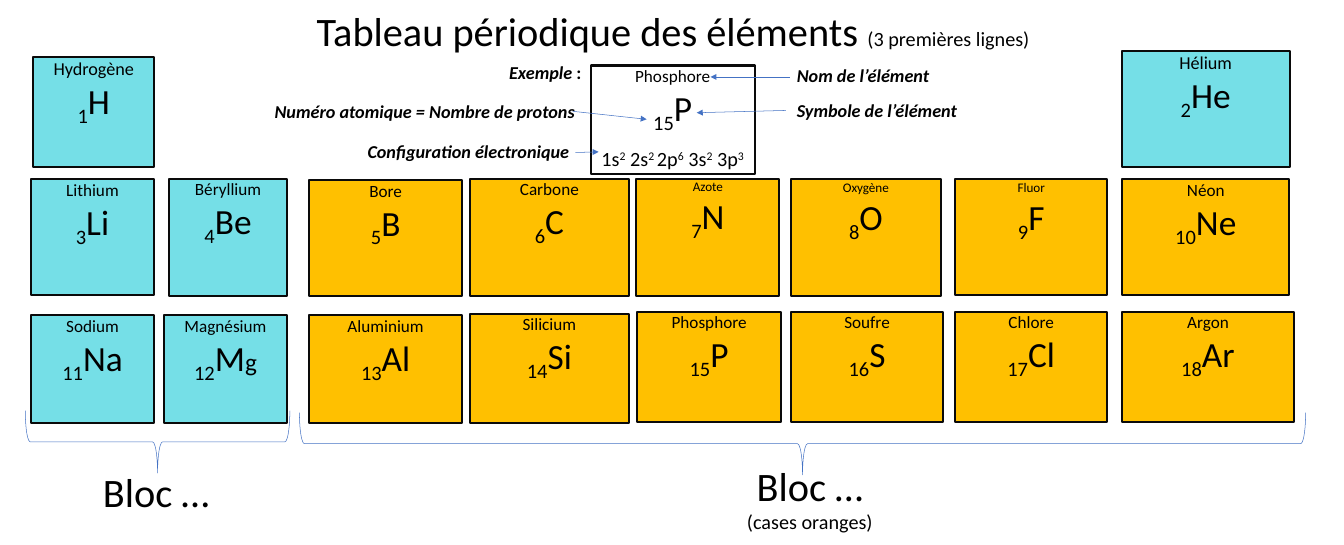
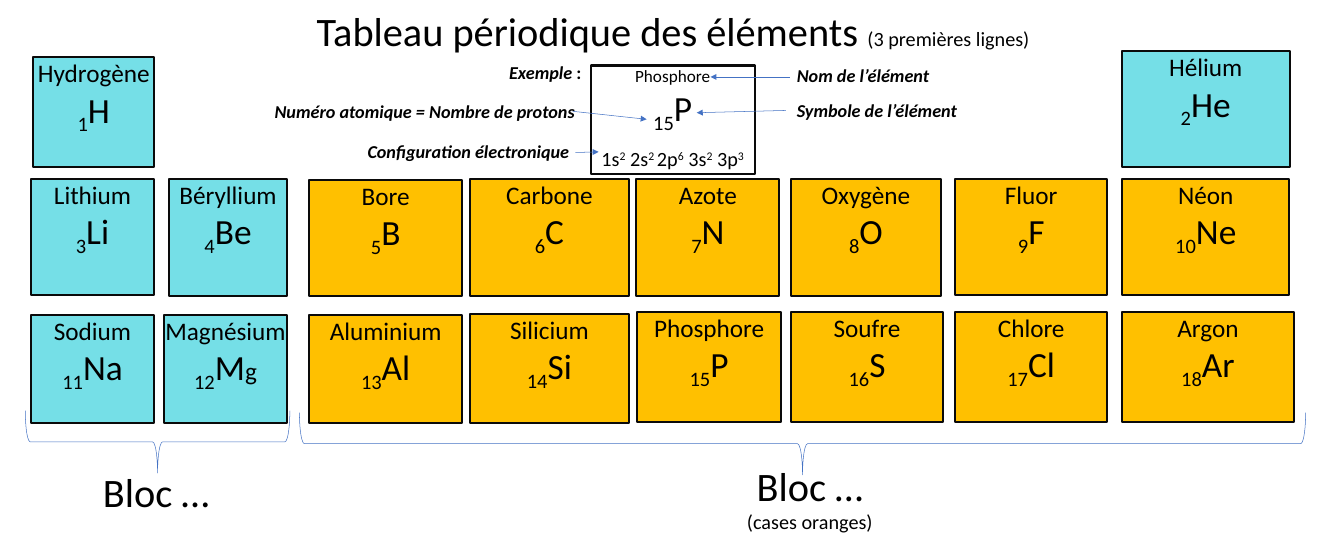
from lxml.etree import SubElement
from pptx import Presentation
from pptx.dml.color import RGBColor
from pptx.enum.shapes import MSO_CONNECTOR, MSO_SHAPE
from pptx.enum.text import MSO_ANCHOR, PP_ALIGN
from pptx.oxml.ns import qn
from pptx.util import Cm, Pt

COLORS = {
    "blue": "75DFE7",
    "orange": "FFC000",
    "border": "0A0A0A",
    "accent": "4472C4",
    "text": "000000",
}
FONT = "Calibri"
TITLE_SIZE, NOTE_SIZE, SYMBOL_SIZE, LABEL_SIZE = 40, 20, 35, 18

ELEMENTS = [
    ("Hydrogène", "H", 18, "blue", 1.17, 2.01, 4.22, 3.84),
    ("Hélium", "He", 18, "blue", 39.22, 1.8, 5.87, 4.04),
    ("Lithium", "Li", 17, "blue", 1.09, 6.27, 4.29, 4.06),
    ("Béryllium", "Be", 17, "blue", 5.92, 6.25, 4.11, 4.09),
    ("Bore", "B", 17, "orange", 10.82, 6.3, 5.33, 4.06),
    ("Carbone", "C", 17, "orange", 16.43, 6.25, 5.56, 4.09),
    ("Azote", "N", 13, "orange", 22.25, 6.25, 5, 4.09),
    ("Oxygène", "O", 13, "orange", 27.66, 6.27, 5.23, 4.09),
    ("Fluor", "F", 13, "orange", 33.4, 6.27, 5.31, 4.06),
    ("Néon", "Ne", 17, "orange", 39.24, 6.27, 5.84, 4.04),
    ("Sodium", "Na", 17, "blue", 1.09, 11.02, 4.29, 3.76),
    ("Magnésium", "Mg", 17, "blue", 5.74, 11.02, 4.29, 3.76),
    ("Aluminium", "Al", 17, "orange", 10.82, 11.02, 5.33, 3.76),
    ("Silicium", "Si", 17, "orange", 16.43, 10.97, 5.56, 3.81),
    ("Phosphore", "P", 17, "orange", 22.28, 10.9, 5.03, 3.86),
    ("Soufre", "S", 17, "orange", 27.66, 10.9, 5.31, 3.86),
    ("Chlore", "Cl", 17, "orange", 33.4, 10.9, 5.31, 3.86),
    ("Argon", "Ar", 17, "orange", 39.24, 10.9, 5.99, 3.86),
]
CONFIGURATION = [("1s", "2"), (" 2s", "2 "), ("2p", "6"), (" 3s", "2"), (" 3p", "3")]
LABELS = [
    ("Nom de l’élément", "", 27.61, 2.11, 6.48),
    ("Numéro atomique = Nombre de protons", "", 9.35, 3.38, 11.05),
    ("Symbole de l’élément", "", 27.61, 3.35, 6.48),
    ("Exemple", " :", 17.55, 2.01, 4.34),
    ("Configuration électronique", "", 12.6, 4.78, 7.72),
]
ARROWS = [
    (27.61, 2.69, 24.84, 2.69),
    (20.02, 3.89, 22.61, 4.17),
    (27.48, 3.86, 24.36, 3.94),
    (20.12, 5.33, 20.93, 5.31),
]
BRACES = [(4.42, 10.82, 9.25, (0.08, 0.5)), (26.97, -2.08, 35.18, (0.08, 0.5))]
BLOCKS = [
    ([("Bloc …", TITLE_SIZE)], 0.89, 16.21, 9.14, 1.96),
    ([("Bloc …", TITLE_SIZE), ("(cases oranges)", NOTE_SIZE)], 24.77, 16, 7.09, 2.82),
]


def add_span(para, text, size, baseline=0, bold=False, italic=False):
    span = para.add_run()
    span.text = text
    span.font.name = FONT
    span.font.size = Pt(size)
    span.font.bold = bold
    span.font.italic = italic
    span.font.color.rgb = RGBColor.from_string(COLORS["text"])
    if baseline:
        span._r.get_or_add_rPr().set("baseline", str(baseline * 1000))


def add_tile(page, name, name_size, number, symbol, fill, left, top, width, height):
    tile = page.shapes.add_shape(MSO_SHAPE.RECTANGLE, Cm(left), Cm(top), Cm(width), Cm(height))
    tile.shadow.inherit = False
    if fill:
        tile.fill.solid()
        tile.fill.fore_color.rgb = RGBColor.from_string(COLORS[fill])
    else:
        tile.fill.background()
    tile.line.color.rgb = RGBColor.from_string(COLORS["border"])
    tile.line.width = Pt(2)
    frame = tile.text_frame
    frame.margin_left = frame.margin_top = frame.margin_right = frame.margin_bottom = 0
    frame.vertical_anchor = MSO_ANCHOR.TOP
    para = frame.paragraphs[0]
    para.alignment = PP_ALIGN.CENTER
    add_span(para, name, name_size)
    para = frame.add_paragraph()
    para.alignment = PP_ALIGN.CENTER
    add_span(para, str(number), SYMBOL_SIZE, baseline=-25)
    if symbol == "Mg":
        add_span(para, "M", SYMBOL_SIZE)
        add_span(para, "g", 25)
    else:
        add_span(para, symbol, SYMBOL_SIZE)
    return tile


deck = Presentation()
deck.slide_width, deck.slide_height = Cm(46.99), Cm(19.05)

for shared_name_size in (None, 25):
    page = deck.slides.add_slide(deck.slide_layouts[5])

    title = page.shapes.title
    title.left, title.top, title.width, title.height = Cm(10.82), Cm(0.08), Cm(35.18), Cm(1.96)
    title.text_frame.vertical_anchor = MSO_ANCHOR.TOP
    para = title.text_frame.paragraphs[0]
    para.alignment = PP_ALIGN.LEFT
    add_span(para, "Tableau périodique des éléments ", TITLE_SIZE)
    add_span(para, "(3 premières lignes)", NOTE_SIZE)

    for number, (name, symbol, name_size, fill, *place) in enumerate(ELEMENTS, start=1):
        add_tile(page, name, shared_name_size or name_size, number, symbol, fill, *place)

    example = add_tile(page, "Phosphore", 17, 15, "P", None, 20.65, 2.29, 5.74, 3.81)
    para = example.text_frame.add_paragraph()
    para.alignment = PP_ALIGN.CENTER
    para.space_before = Pt(12)
    for subshell, electrons in CONFIGURATION:
        add_span(para, subshell, NOTE_SIZE)
        add_span(para, electrons, NOTE_SIZE, baseline=30)

    for start_x, start_y, end_x, end_y in ARROWS:
        arrow = page.shapes.add_connector(
            MSO_CONNECTOR.STRAIGHT, Cm(start_x), Cm(start_y), Cm(end_x), Cm(end_y)
        )
        arrow.line.color.rgb = RGBColor.from_string(COLORS["accent"])
        arrow.line.width = Pt(0.5)
        SubElement(arrow.line._get_or_add_ln(), qn("a:tailEnd"), type="triangle")
        SubElement(arrow._element.spPr, qn("a:effectLst"))

    for text, ending, left, top, width in LABELS:
        box = page.shapes.add_textbox(Cm(left), Cm(top), Cm(width), Cm(1.02))
        box.text_frame.word_wrap = True
        para = box.text_frame.paragraphs[0]
        add_span(para, text, LABEL_SIZE, bold=True, italic=True)
        if ending:
            add_span(para, ending, LABEL_SIZE, bold=True)

    for left, top, height, adjustments in BRACES:
        brace = page.shapes.add_shape(MSO_SHAPE.LEFT_BRACE, Cm(left), Cm(top), Cm(2.18), Cm(height))
        brace.rotation = 270
        brace.shadow.inherit = False
        brace.fill.background()
        brace.line.color.rgb = RGBColor.from_string(COLORS["accent"])
        brace.line.width = Pt(0.5)
        for index, value in enumerate(adjustments):
            brace.adjustments[index] = value

    for lines, left, top, width, height in BLOCKS:
        box = page.shapes.add_textbox(Cm(left), Cm(top), Cm(width), Cm(height))
        box.text_frame.word_wrap = True
        for index, (text, size) in enumerate(lines):
            para = box.text_frame.add_paragraph() if index else box.text_frame.paragraphs[0]
            para.alignment = PP_ALIGN.CENTER
            add_span(para, text, size)

deck.save("out.pptx")
